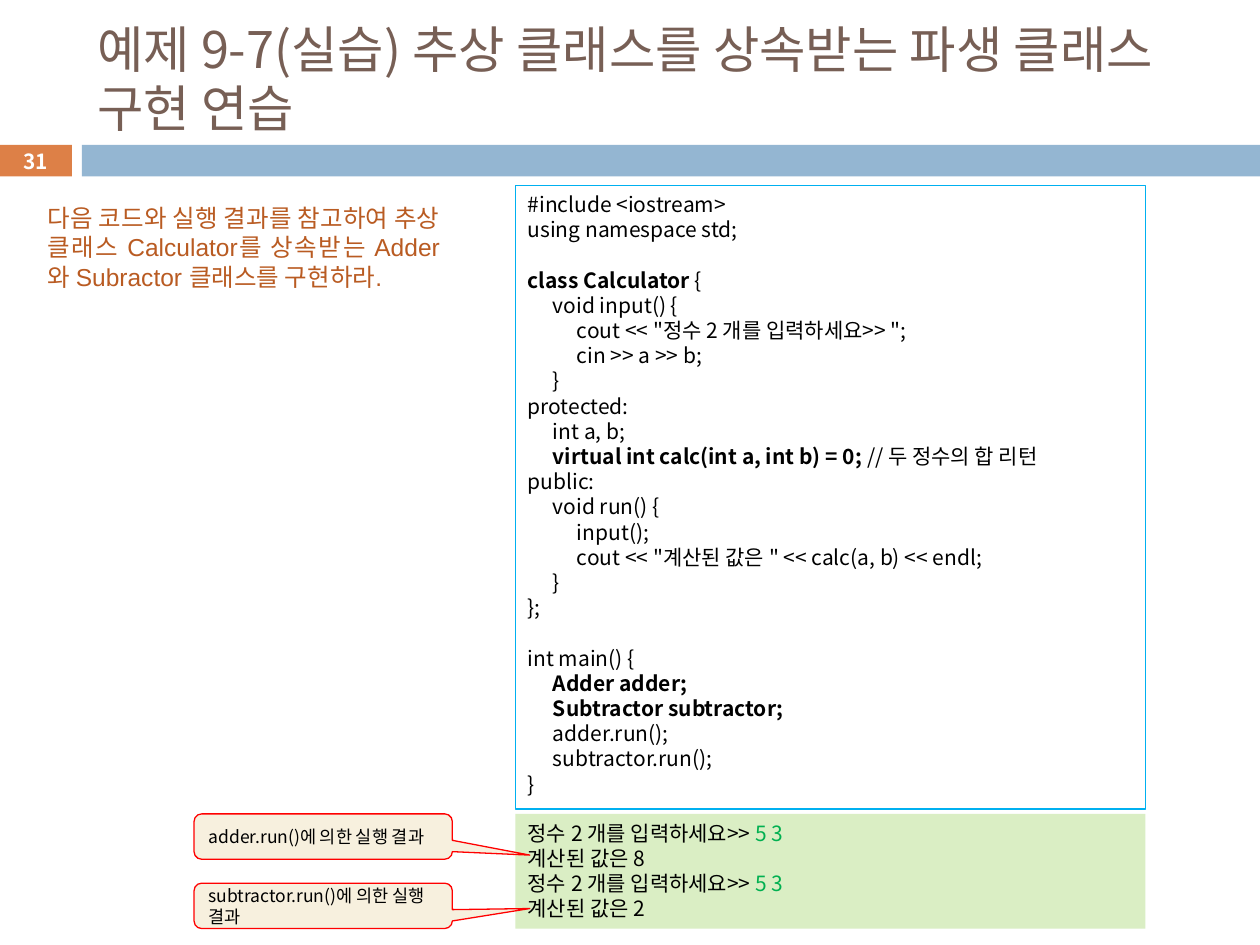
"""Build the slide on deriving classes from an abstract Calculator class."""
from lxml.etree import SubElement
from pptx import Presentation
from pptx.dml.color import RGBColor
from pptx.enum.shapes import MSO_SHAPE
from pptx.enum.text import MSO_ANCHOR, MSO_AUTO_SIZE, PP_ALIGN
from pptx.oxml.ns import qn
from pptx.util import Inches, Pt

NOTO = "Noto Sans CJK KR"
BLACK, GREEN, RED = "000000", "00B050", "FF0000"
TITLE = "예제 9-7(실습) 추상 클래스를 상속받는 파생 클래스 구현 연습"
TASK = ("다음 코드와 실행 결과를 참고하여 추상 클래스 Calculator를 상속받는 "
        "Adder와 Subractor 클래스를 구현하라.")
BOLD = {"bold": True}
INPUT = {"color": GREEN}

CODE = [
    ["#include <iostream>"],
    ["using namespace std;"],
    [],
    [("class Calculator ", BOLD), "{"],
    ["\tvoid input() {"],
    ['\t\tcout << "정수 2 개를 입력하세요>> ";'],
    ["\t\tcin >> a >> b;"],
    ["\t}"],
    ["protected:"],
    ["\tint a, b;"],
    ["\t", ("virtual int calc(int a, int b) = 0; ", BOLD), "// 두 정수의 합 리턴"],
    ["public:"],
    ["\tvoid run() {"],
    ["\t\tinput();"],
    ['\t\tcout << "계산된 값은 " << calc(a, b) << endl;'],
    ["\t}"],
    ["};"],
    [],
    ["int main() {"],
    [("\tAdder adder;", BOLD)],
    [("\tSubtractor subtractor;", BOLD)],
    ["\tadder.run();"],
    ["\tsubtractor.run();"],
    ["}"],
]
PROMPT = ["정수 2 개를 입력하세요>> ", ("5 3", INPUT)]
OUTPUT = [PROMPT, ["계산된 값은 8"], PROMPT, ["계산된 값은 2"]]
CALLOUTS = [
    ("adder.run()에 의한 실행 결과", 6.46, 0.41),
    ("subtractor.run()에 의한 실행 결과", 7.01, 0.06),
]


def rgb(value):
    return RGBColor.from_string(value)


def add_box(s, box, fill=None, line=None, kind=MSO_SHAPE.RECTANGLE):
    sp = s.shapes.add_shape(kind, *map(Inches, box))
    sp.shadow.inherit = False
    if fill:
        sp.fill.solid()
        sp.fill.fore_color.rgb = rgb(fill)
    else:
        sp.fill.background()
    if line:
        sp.line.color.rgb = rgb(line)
        sp.line.width = Pt(0.75)
    else:
        sp.line.fill.background()
    return sp


def add_run(p, text, size, color=BLACK, name=NOTO, bold=False):
    r = p.add_run()
    r.text = text
    for key, value in {"size": Pt(size), "name": name, "bold": bold}.items():
        setattr(r.font, key, value)
    r.font.color.rgb = rgb(color)
    SubElement(r.font._element, qn("a:ea")).set("typeface", NOTO)


def write(sp, lines, size, anchor=MSO_ANCHOR.TOP, align=PP_ALIGN.LEFT,
          leading=1.2, tabs=(), **style):
    tf = sp.text_frame
    frame = {"word_wrap": True, "auto_size": MSO_AUTO_SIZE.NONE, "vertical_anchor": anchor}
    for key, value in frame.items():
        setattr(tf, key, value)
    p, gap = tf.paragraphs[0], 0
    for i, parts in enumerate(lines):
        if not parts:
            gap = size * leading
            continue
        p = tf.add_paragraph() if i else p
        layout = {"alignment": align, "line_spacing": Pt(size * leading), "space_before": Pt(gap)}
        for key, value in layout.items():
            setattr(p, key, value)
        gap = 0
        if tabs:
            stops = SubElement(p._p.get_or_add_pPr(), qn("a:tabLst"))
            for pos in tabs:
                stop = SubElement(stops, qn("a:tab"))
                stop.set("pos", str(Inches(pos)))
                stop.set("algn", "l")
        for part in parts:
            text, extra = part if isinstance(part, tuple) else (part, {})
            add_run(p, text, size, **{**style, **extra})


def main():
    prs = Presentation()
    prs.slide_width, prs.slide_height = Inches(10), Inches(7.5)
    s = prs.slides.add_slide(prs.slide_layouts[5])

    title = s.shapes.title
    title.left, title.top, title.width, title.height = map(Inches, (0.67, 0.25, 8.92, 0.74))
    write(title, [[TITLE]], 28.8, MSO_ANCHOR.MIDDLE, leading=1.17, color="775F55")

    number = add_box(s, (-0.01, 1.15, 0.58, 0.25), "DD8047")
    write(number, [["31"]], 11.9, MSO_ANCHOR.MIDDLE, PP_ALIGN.CENTER, color="FFFFFF", bold=True)
    add_box(s, (0.65, 1.15, 9.35, 0.25), "94B6D2")

    code = add_box(s, (4.09, 1.47, 5, 4.95), line="00B0F0")
    write(code, CODE, 12, tabs=(0.2, 0.39))
    write(add_box(s, (4.09, 6.46, 5, 0.91), "DAEEC4"), OUTPUT, 12)

    task = s.shapes.add_textbox(*map(Inches, (0.28, 1.56, 3.31, 1.04)))
    write(task, [[TASK]], 14, align=PP_ALIGN.JUSTIFY, name="Arial", color="B95B22")

    for text, top, tip in CALLOUTS:
        sp = add_box(s, (1.54, top, 2.05, 0.36), "F7F0DE", RED,
                     MSO_SHAPE.ROUNDED_RECTANGULAR_CALLOUT)
        sp.adjustments[0], sp.adjustments[1] = 0.8, tip
        write(sp, [[text]], 10, MSO_ANCHOR.MIDDLE)

    prs.save("out.pptx")


if __name__ == "__main__":
    main()
